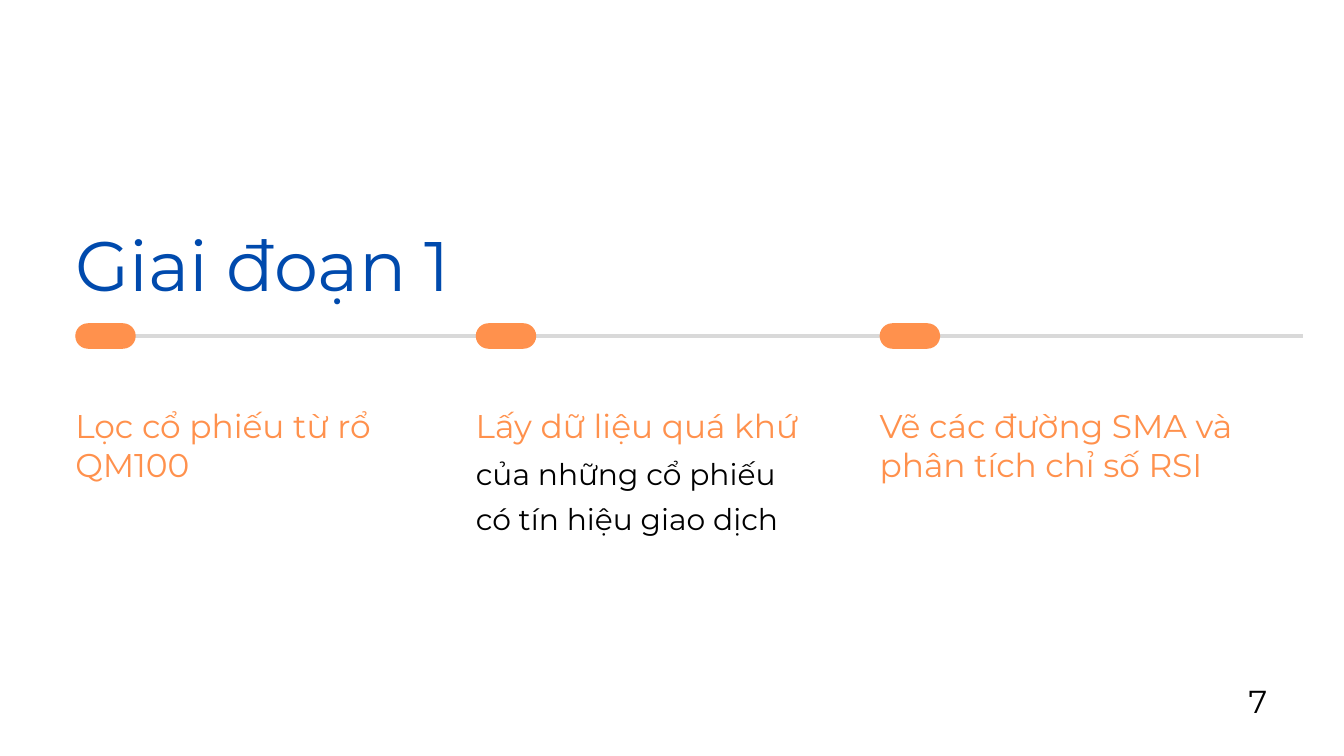
from lxml import etree
from pptx import Presentation
from pptx.dml.color import RGBColor
from pptx.enum.shapes import MSO_CONNECTOR, MSO_SHAPE
from pptx.enum.text import MSO_ANCHOR, MSO_AUTO_SIZE, PP_ALIGN
from pptx.oxml.ns import qn
from pptx.util import Inches, Pt

LEFT, CENTER = PP_ALIGN.LEFT, PP_ALIGN.CENTER
TOP, FIXED = MSO_ANCHOR.TOP, MSO_AUTO_SIZE.NONE
PILL, STRAIGHT = MSO_SHAPE.ROUNDED_RECTANGLE, MSO_CONNECTOR.STRAIGHT

COLORS = {"blue": "004AAD", "orange": "FF914D", "grey": "D9D9D9", "black": "000000"}
FONT = "Montserrat"


def color(name):
    return RGBColor.from_string(COLORS[name])


def write(box, text, size, lead, tint, align=LEFT):
    frame = box.text_frame
    frame.text = text
    frame.word_wrap = True
    frame.auto_size = FIXED
    frame.vertical_anchor = TOP
    frame.margin_left = frame.margin_right = Inches(0)
    frame.margin_top = frame.margin_bottom = Inches(0)
    para = frame.paragraphs[0]
    para.alignment = align
    para.line_spacing = Pt(lead)
    para.space_before = Pt(0)
    font = para.runs[0].font
    font.name = FONT
    font.size = Pt(size)
    font.color.rgb = color(tint)


deck = Presentation()
deck.slide_width = Inches(20)
deck.slide_height = Inches(11.25)
slide = deck.slides.add_slide(deck.slide_layouts[5])
shapes = slide.shapes

title = shapes.title
title.left, title.top = Inches(1.12), Inches(3.29)
title.width, title.height = Inches(10.99), Inches(1.26)
write(title, "Giai đoạn 1", 75, 90, "blue")

axis = 5
line = shapes.add_connector(STRAIGHT, Inches(1.43), Inches(axis), Inches(19.39), Inches(axis))
line.line.color.rgb = color("grey")
line.line.width = Pt(3.75)
etree.SubElement(line._element.spPr, qn("a:effectLst"))

steps = [
    (1.12, 5.89, 1.17, "Lọc cổ phiếu từ rổ QM100"),
    (7.08, 6.17, 0.58, "Lấy dữ liệu quá khứ"),
    (13.09, 5.7, 1.17, "Vẽ các đường SMA và phân tích chỉ số RSI"),
]
high = 0.38
for left, width, height, text in steps:
    mark = shapes.add_shape(PILL, Inches(left), Inches(axis - high / 2), Inches(0.9), Inches(high))
    mark.adjustments[0] = 0.5
    mark.shadow.inherit = False
    mark.fill.solid()
    mark.fill.fore_color.rgb = color("orange")
    mark.line.fill.background()
    label = shapes.add_textbox(Inches(left), Inches(6.03), Inches(width), Inches(height))
    write(label, text, 35.2, 42.2, "orange")

detail = shapes.add_textbox(Inches(7.08), Inches(6.65), Inches(4.68), Inches(1.3))
write(detail, "của những cổ phiếu có tín hiệu giao dịch", 31.9, 48.1, "black")

number = shapes.add_textbox(Inches(18.58), Inches(10.05), Inches(0.28), Inches(0.63))
write(number, "7", 34, 47.6, "black", CENTER)

deck.save("out.pptx")
